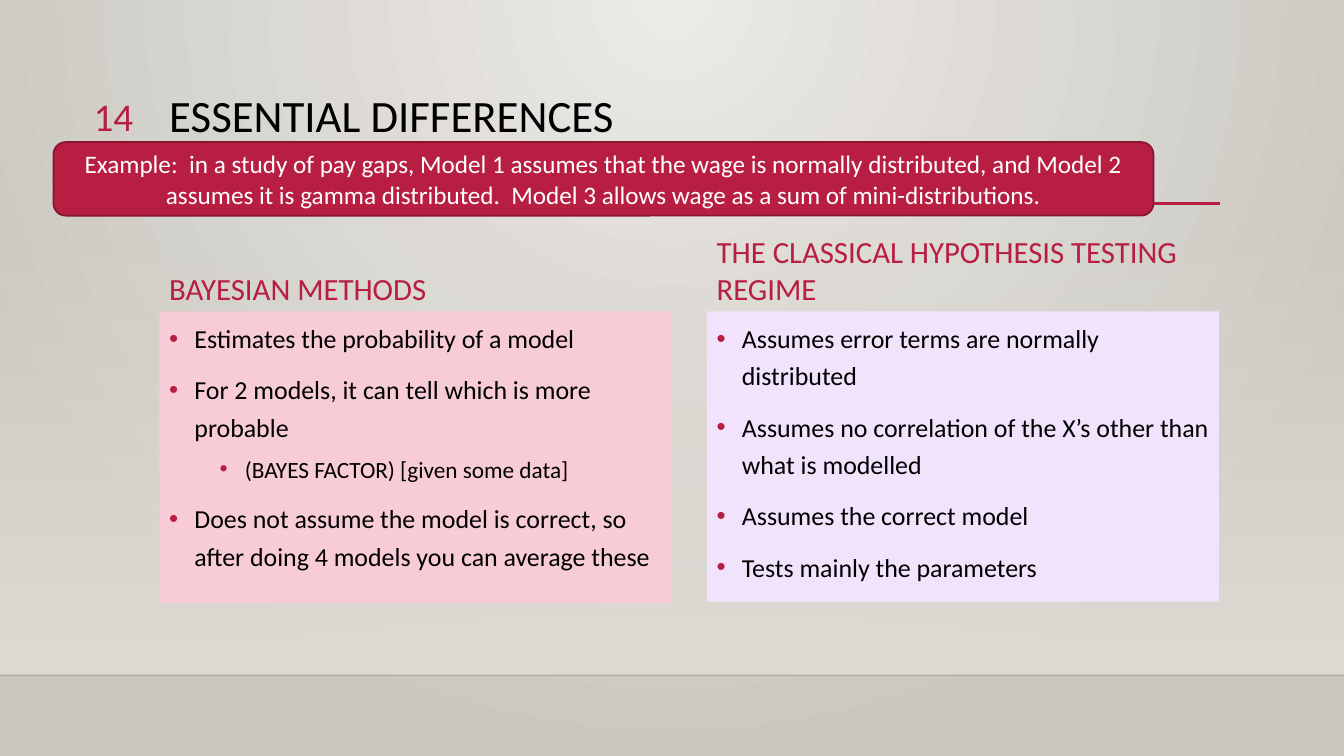
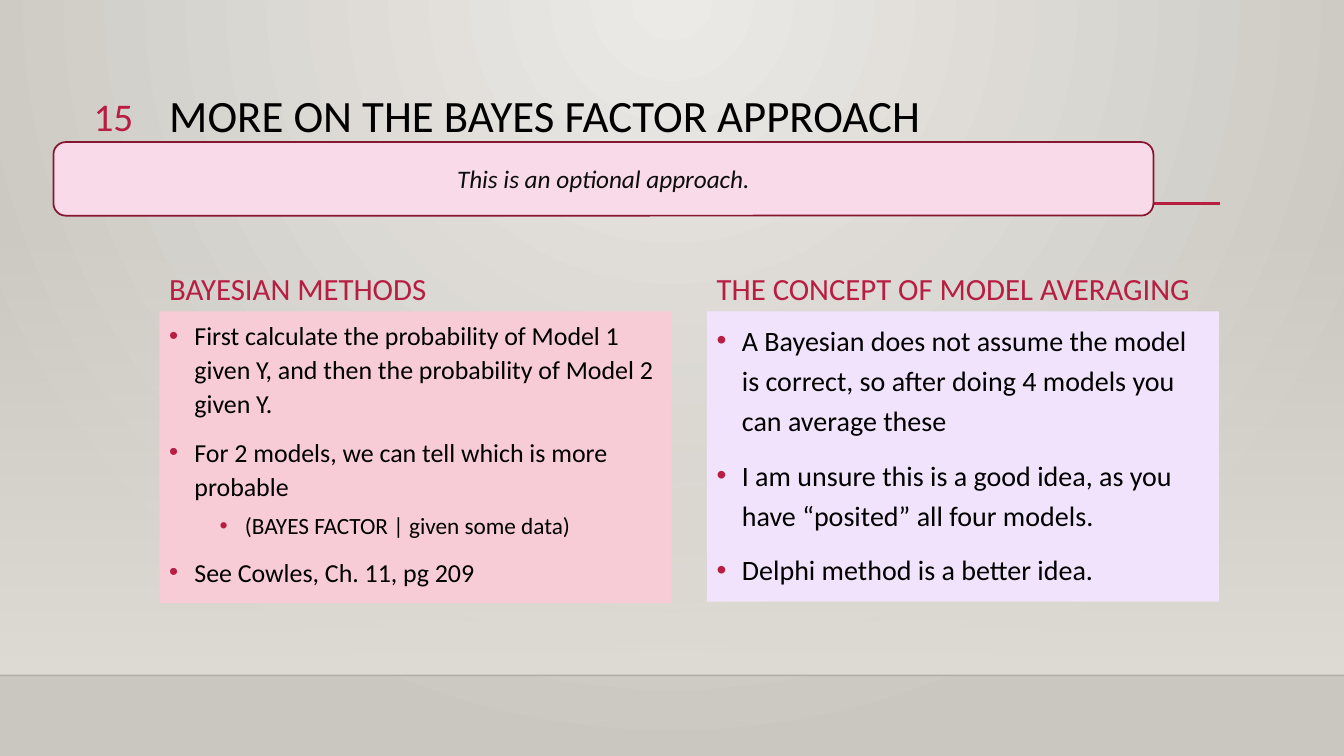
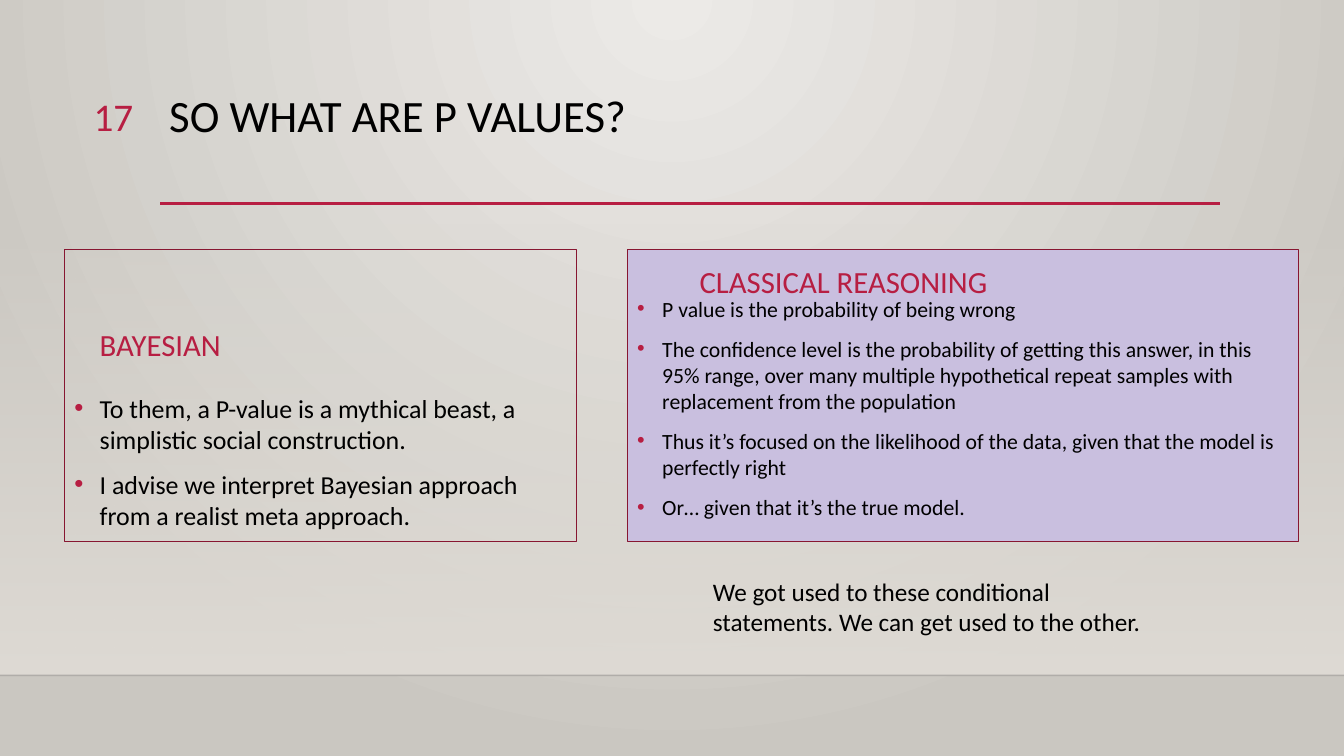
from lxml import etree
from pptx import Presentation
from pptx.dml.color import RGBColor as RGB
from pptx.enum.shapes import MSO_CONNECTOR as LINE, MSO_SHAPE as SHAPE
from pptx.enum.text import MSO_ANCHOR as ANCHOR, PP_ALIGN as ALIGN
from pptx.oxml.ns import qn
from pptx.util import Inches, Pt

ROSE = RGB(0xB7, 0x1E, 0x42)
WINE = RGB(0x87, 0x16, 0x31)
PINK = RGB(0xF7, 0xCC, 0xD6)
BLUSH = RGB(0xF8, 0xDA, 0xE8)
LILAC = RGB(0xF2, 0xE3, 0xFC)
MAUVE = RGB(0xC9, 0xBF, 0xDF)
LIGHT = RGB(0xEC, 0xEA, 0xE7)
STONE = RGB(0xCA, 0xC7, 0xC1)
SAND = RGB(0xDF, 0xDB, 0xD5)
INK = RGB(0x0D, 0x0D, 0x0D)
BLACK = RGB(0, 0, 0)
WHITE = RGB(255, 255, 255)


def write(shape, items, size, tint, frame={}, para={}, style={}):
    text = shape.text_frame
    for key, value in {"word_wrap": True, "vertical_anchor": ANCHOR.TOP, **frame}.items():
        setattr(text, key, value)
    for place, (level, words) in enumerate(items):
        row = text.paragraphs[0] if place == 0 else text.add_paragraph()
        for key, value in {"alignment": ALIGN.LEFT, **para}.items():
            setattr(row, key, value)
        run = row.add_run()
        run.text = words
        points = 16.6 if level == 2 else size
        for key, value in {"name": "Calibri", "size": Pt(points), **style}.items():
            setattr(run.font, key, value)
        run.font.color.rgb = tint
        if level:
            row.space_before = Pt(10 / level)
            props = row._p.get_or_add_pPr()
            props.set("marL", str(Inches(level * 0.5 - 0.25)))
            props.set("indent", str(Inches(-0.25)))
            color = etree.SubElement(props, qn("a:buClr"))
            etree.SubElement(color, qn("a:srgbClr"), val=str(ROSE))
            etree.SubElement(props, qn("a:buFont"), typeface="Arial")
            etree.SubElement(props, qn("a:buChar"), char="•")


def draw(slide, kind, area, fill=None, edge=None, width=0.75):
    shape = slide.shapes.add_shape(kind, *map(Inches, area))
    shape.shadow.inherit = False
    if fill is None:
        shape.fill.background()
    else:
        shape.fill.solid()
        shape.fill.fore_color.rgb = fill
    if edge is None:
        shape.line.fill.background()
    else:
        shape.line.color.rgb = edge
        shape.line.width = Pt(width)
    return shape


LEFT = {"head": (1.58, 2.21), "box": (1.58, 3.09, 5.08, 2.89), "fill": PINK}
RIGHT = {"head": (7.01, 2.21), "box": (7.01, 3.09, 5.08, 2.88), "fill": LILAC}

PAGES = [
    {
        "number": "14", "title": "ESSENTIAL DIFFERENCES",
        "banner": ("Example:  in a study of pay gaps, Model 1 assumes that the wage is normally "
                   "distributed, and Model 2 assumes it is gamma distributed.  Model 3 allows "
                   "wage as a sum of mini-distributions.", ROSE, WHITE, {}),
        "panels": [
            {**LEFT, "name": "BAYESIAN METHODS", "size": 18.5, "space": 1.2, "items": [
                (1, "Estimates the probability of a model"),
                (1, "For 2 models, it can tell which is more probable"),
                (2, "(BAYES FACTOR) [given some data]"),
                (1, "Does not assume the model is correct, so after doing 4 models you can "
                    "average these")]},
            {**RIGHT, "name": "THE CLASSICAL HYPOTHESIS TESTING REGIME", "size": 18.5,
             "space": 1.2, "items": [
                (1, "Assumes error terms are normally distributed"),
                (1, "Assumes no correlation of the X’s other than what is modelled"),
                (1, "Assumes the correct model"),
                (1, "Tests mainly the parameters")]},
        ],
    },
    {
        "number": "15", "title": "MORE ON THE BAYES FACTOR APPROACH",
        "banner": ("This is an optional approach.", BLUSH, INK, {"italic": True}),
        "panels": [
            {**LEFT, "name": "BAYESIAN METHODS", "size": 18.5, "space": 1.1, "items": [
                (1, "First calculate the probability of Model 1 given Y, and then the "
                    "probability of Model 2 given Y."),
                (1, "For 2 models, we can tell which is more probable"),
                (2, "(BAYES FACTOR | given some data)"),
                (1, "See Cowles, Ch. 11, pg 209")]},
            {**RIGHT, "name": "THE CONCEPT OF MODEL AVERAGING", "size": 20, "space": 1.2,
             "items": [
                (1, "A Bayesian does not assume the model is correct, so after doing 4 models "
                    "you can average these"),
                (1, "I am unsure this is a good idea, as you have “posited” all four models."),
                (1, "Delphi method is a better idea.")]},
        ],
    },
    {
        "number": "17", "title": "SO WHAT ARE P VALUES?",
        "panels": [
            {"name": "BAYESIAN", "head": (0.89, 2.77), "box": (0.64, 2.48, 5.08, 2.89),
             "edge": WINE, "inset": 1.41, "size": 18.5, "space": 1.0, "items": [
                (1, "To them, a P-value is a mythical beast, a simplistic social construction."),
                (1, "I advise we interpret Bayesian approach from a realist meta approach.")]},
            {"name": "CLASSICAL REASONING", "head": (6.84, 2.14), "box": (6.22, 2.48, 6.66, 2.89),
             "fill": MAUVE, "edge": WINE, "inset": 0.45, "size": 15.5, "space": 1.0, "items": [
                (1, "P value is the probability of being wrong"),
                (1, "The confidence level is the probability of getting this answer, in this "
                    "95% range, over many multiple hypothetical repeat samples with replacement "
                    "from the population"),
                (1, "Thus it’s focused on the likelihood of the data, given that the model is "
                    "perfectly right"),
                (1, "Or… given that it’s the true model.")]},
        ],
        "remark": "We got used to these conditional statements. We can get used to the other.",
    },
]
RULES = [(0, 13.33, 6.7, RGB(0, 0, 1), 1, 20), (1.59, 12.1, 2.02, ROSE, 2.5, 100)]

deck = Presentation()
deck.slide_width = Inches(13.33)
deck.slide_height = Inches(7.5)

master = deck.slide_master
back = master.background.fill
back.gradient()
for stop, tint in zip(back.gradient_stops, (LIGHT, STONE)):
    stop.color.rgb = tint
linear = next(master.element.iter(qn("a:lin")))
radial = etree.Element(qn("a:path"), path="circle")
etree.SubElement(radial, qn("a:fillToRect"), l="43000", t="0", r="43000", b="100000")
linear.getparent().replace(linear, radial)

for page in PAGES:
    slide = deck.slides.add_slide(deck.slide_layouts[6])
    shapes = slide.shapes

    haze = draw(slide, SHAPE.RECTANGLE, (0, 2.21, 13.33, 4.49))
    haze.fill.gradient()
    haze.fill.gradient_angle = 270
    for stop in haze.fill.gradient_stops:
        stop.color.rgb = SAND
    clear = next(haze.element.spPr.iter(qn("a:srgbClr")))
    etree.SubElement(clear, qn("a:alpha"), val="0")

    for start, end, top, tint, width, alpha in RULES:
        rule = shapes.add_connector(LINE.STRAIGHT, *map(Inches, (start, top, end, top)))
        rule.line.color.rgb = tint
        rule.line.width = Pt(width)
        props = rule._element.spPr
        if alpha < 100:
            shade = next(props.iter(qn("a:srgbClr")))
            etree.SubElement(shade, qn("a:alpha"), val=str(alpha * 1000))
        etree.SubElement(props, qn("a:effectLst"))

    title = shapes.add_textbox(*map(Inches, (1.58, 0.88, 10.51, 1.16)))
    write(title, [(0, page["title"])], 32, BLACK, para={"line_spacing": 0.9})

    for panel in page["panels"]:
        box = draw(slide, SHAPE.RECTANGLE, panel["box"], panel.get("fill"), panel.get("edge"))
        write(box, panel["items"], panel["size"], BLACK,
              {"margin_top": Inches(panel.get("inset", 0.05))},
              {"line_spacing": panel["space"]})
        head = shapes.add_textbox(*map(Inches, (*panel["head"], 5.08, 0.88)))
        write(head, [(0, panel["name"])], 22, ROSE, {"vertical_anchor": ANCHOR.BOTTOM})

    number = shapes.add_textbox(*map(Inches, (0.53, 0.87, 0.89, 0.55)))
    write(number, [(0, page["number"])], 28, ROSE, para={"alignment": ALIGN.RIGHT})

    if "banner" in page:
        words, fill, tint, style = page["banner"]
        banner = draw(slide, SHAPE.ROUNDED_RECTANGLE, (0.53, 1.41, 10.91, 0.73), fill, WINE, 1.25)
        write(banner, [(0, words)], 18, tint, {"vertical_anchor": ANCHOR.MIDDLE},
              {"alignment": ALIGN.CENTER}, style)

    if "remark" in page:
        remark = shapes.add_textbox(*map(Inches, (4.97, 5.67, 6.67, 0.71)))
        write(remark, [(0, page["remark"])], 18, BLACK, {"margin_left": Inches(2.1)})

deck.save("out.pptx")
